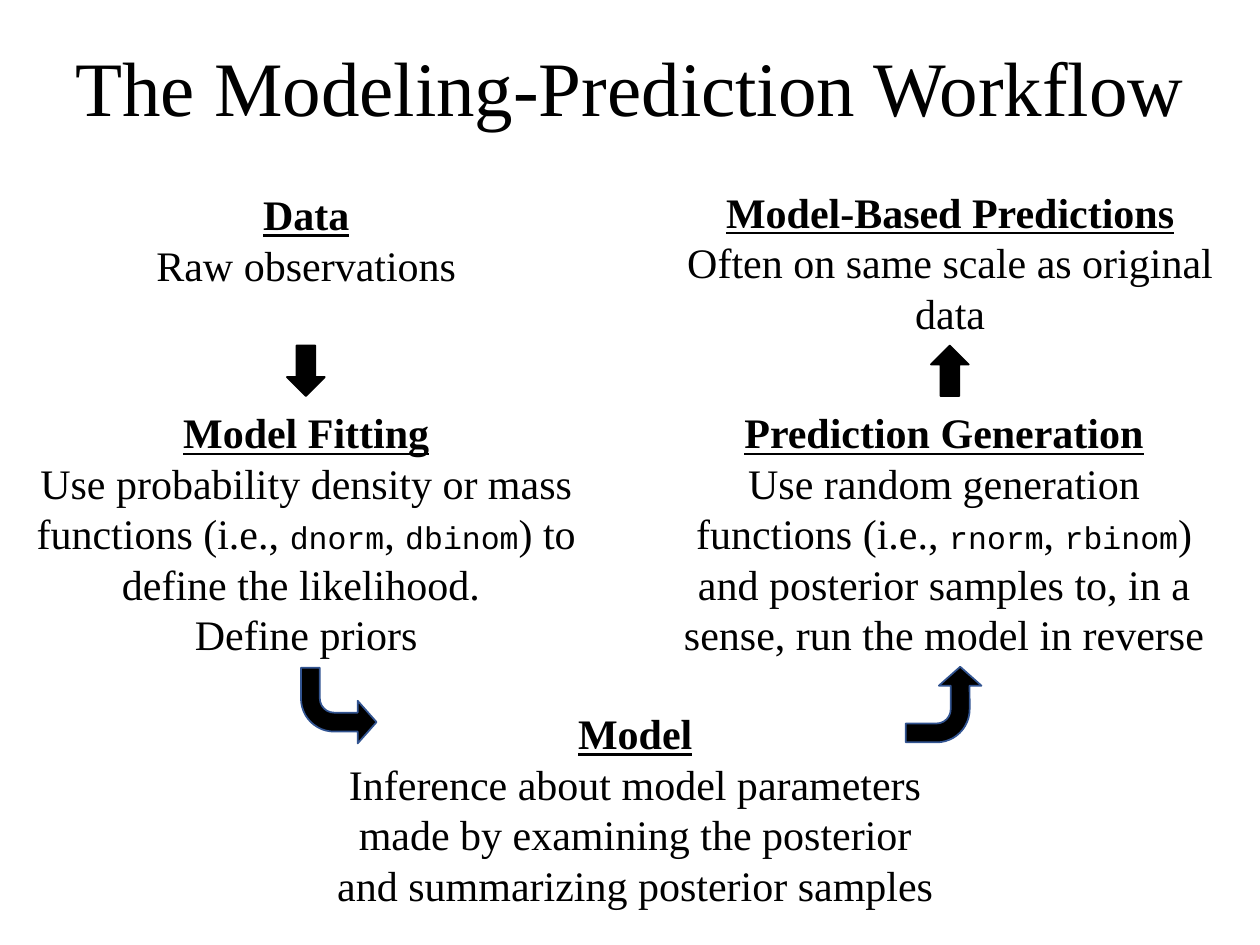
from pptx import Presentation
from pptx.dml.color import RGBColor
from pptx.enum.shapes import MSO_SHAPE
from pptx.enum.text import MSO_ANCHOR, MSO_AUTO_SIZE, PP_ALIGN
from pptx.util import Pt

DOWN_ARROW = MSO_SHAPE.DOWN_ARROW
BENT_ARROW = MSO_SHAPE.BENT_ARROW
CENTER = PP_ALIGN.CENTER
MIDDLE = MSO_ANCHOR.MIDDLE
FIT_SHAPE = MSO_AUTO_SIZE.SHAPE_TO_FIT_TEXT

SERIF = "Times New Roman"
MONO = "Courier New"
BLACK = "000000"
NAVY = "325491"
BEND = (0.25, 0.282, 0.25, 0.438)

STAGES = [
    (13, 104.4, 324, 65.5, "Data", ["Raw observations"]),
    (381, 103, 324, 94.5, "Model-Based Predictions",
     ["Often on same scale as original data"]),
    (13, 229, 324, 152.5, "Model Fitting",
     ["Use probability density or mass functions (i.e., `dnorm`, `dbinom`) "
      "to define the likelihood. ", "Define priors"]),
    (377.5, 229, 324, 152.5, "Prediction Generation",
     ["Use random generation functions (i.e., `rnorm`, `rbinom`) and "
      "posterior samples to, in a sense, run the model in reverse"]),
    (183, 401, 360, 123.6, "Model",
     ["Inference about model parameters made by examining the posterior "
      "and summarizing posterior samples"]),
]

ARROWS = [
    (DOWN_ARROW, 164, 197.5, 21.6, 28.8, 0, BLACK, ()),
    (DOWN_ARROW, 532, 197.5, 21.6, 28.8, 180, BLACK, ()),
    (BENT_ARROW, 172, 381.6, 43.2, 43.2, 180, NAVY, BEND),
    (BENT_ARROW, 517.7, 381, 43.2, 43.2, 90, NAVY, BEND),
]


def color(value):
    """Turn a hex string into a colour."""
    return RGBColor.from_string(value)


def style(font, size, bold=False):
    """Set the serif font, with headings bold and underlined."""
    font.name = SERIF
    font.size = Pt(size)
    font.bold = font.underline = bold
    font.color.rgb = color(BLACK)


def add_box(page, left, top, width, height):
    """Add a wrapping text box and return its text frame."""
    box = page.shapes.add_textbox(Pt(left), Pt(top), Pt(width), Pt(height))
    box.text_frame.word_wrap = True
    return box.text_frame


def add_title(page, text):
    """Add the centred slide title."""
    frame = add_box(page, 29.5, 0, 661, 104.4)
    frame.vertical_anchor = MIDDLE
    para = frame.paragraphs[0]
    para.text = text
    para.alignment = CENTER
    para.line_spacing = 0.9
    style(para.font, 44)


def add_stage(page, left, top, width, height, heading, lines):
    """Add a workflow stage, setting text between backticks as code."""
    frame = add_box(page, left, top, width, height)
    frame.auto_size = FIT_SHAPE
    for index, line in enumerate([heading, *lines]):
        para = frame.add_paragraph() if index else frame.paragraphs[0]
        para.alignment = CENTER
        style(para.font, 24, bold=index == 0)
        for position, text in enumerate(line.split("`")):
            span = para.add_run()
            span.text = text
            if position % 2:
                span.font.name = MONO
                span.font.size = Pt(18)


def add_arrow(page, kind, left, top, width, height, turn, outline, bends):
    """Add a black block arrow, mirrored and then turned."""
    arrow = page.shapes.add_shape(kind, Pt(left), Pt(top), Pt(width), Pt(height))
    arrow.shadow.inherit = False
    arrow.rotation = turn
    arrow._element.spPr.xfrm.set("flipH", "1")
    for index, bend in enumerate(bends):
        arrow.adjustments[index] = bend
    arrow.fill.solid()
    arrow.fill.fore_color.rgb = color(BLACK)
    arrow.line.color.rgb = color(outline)
    arrow.line.width = Pt(1)


def main():
    """Build the workflow slide."""
    deck = Presentation()
    deck.slide_width, deck.slide_height = Pt(720), Pt(540)
    page = deck.slides.add_slide(deck.slide_layouts[6])
    add_title(page, "The Modeling-Prediction Workflow")
    for stage in STAGES:
        add_stage(page, *stage)
    for arrow in ARROWS:
        add_arrow(page, *arrow)
    deck.save("out.pptx")


main()
